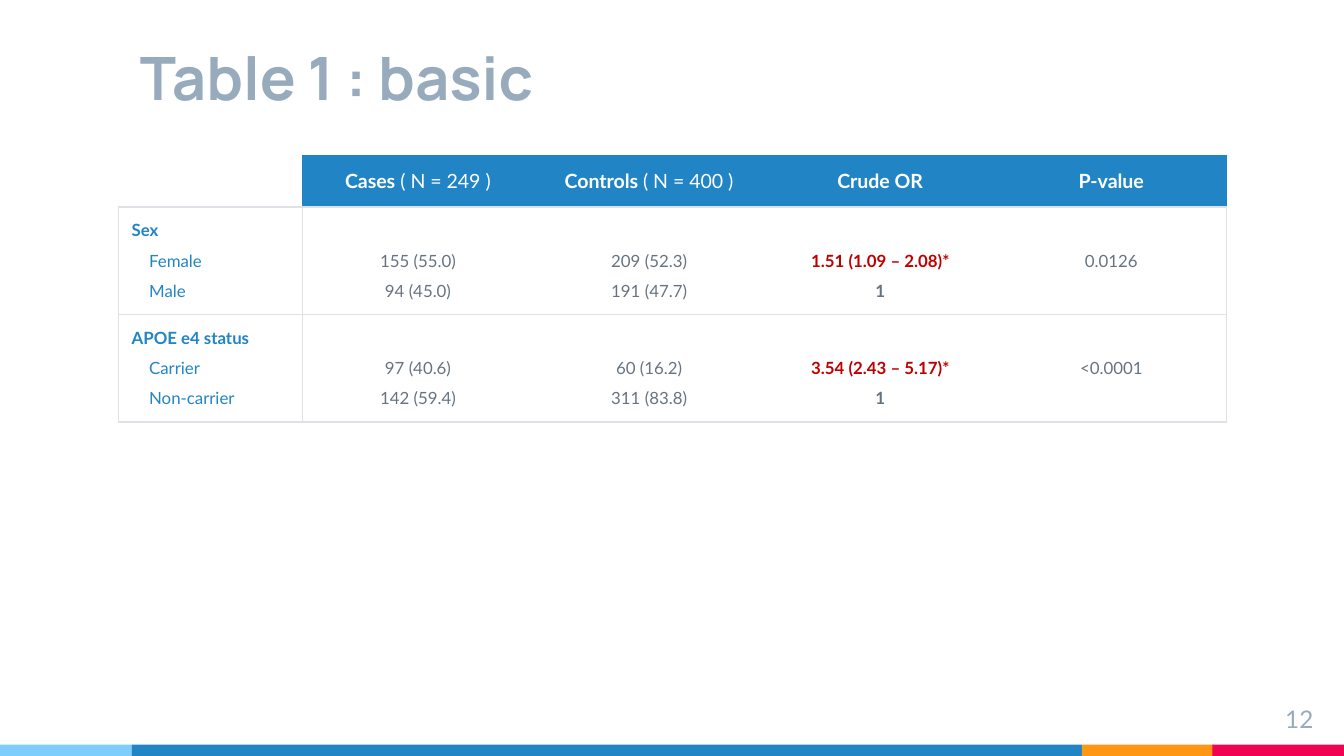
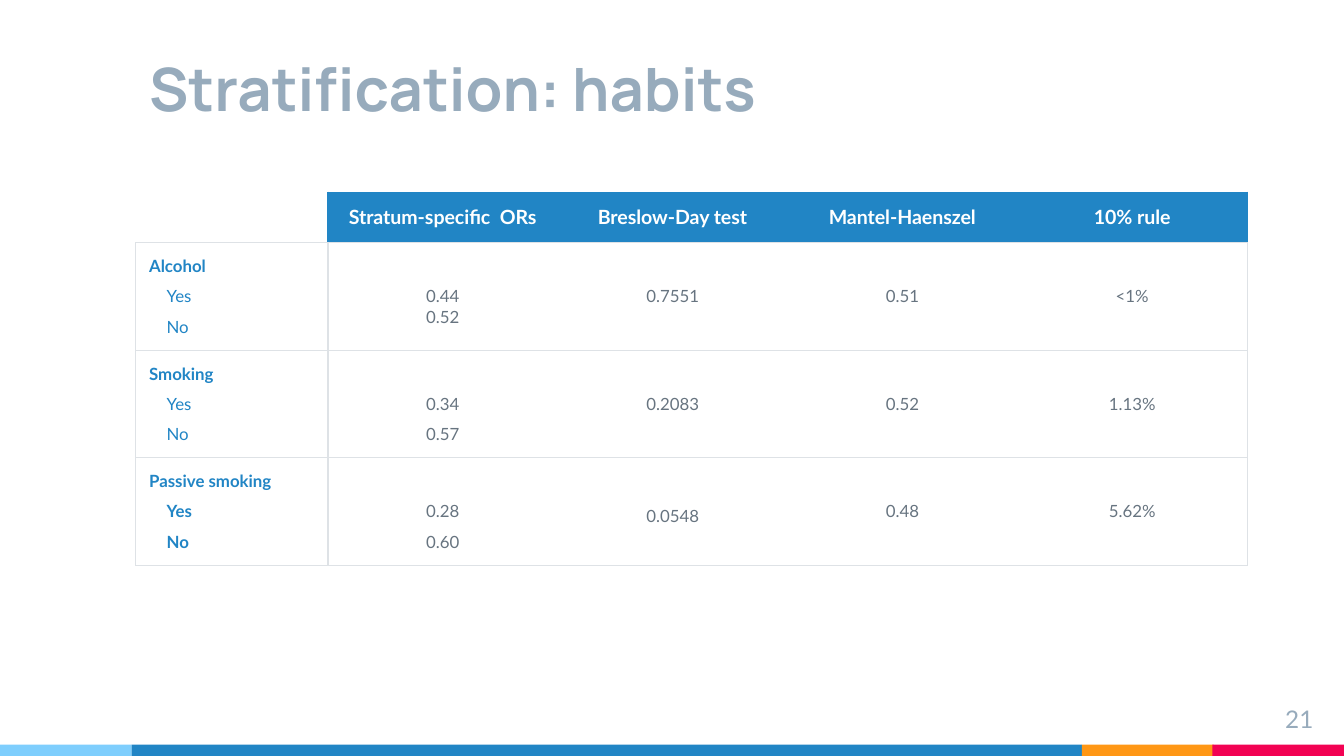
"""Build two slides with tables of odds ratios."""
from lxml import etree
from pptx import Presentation, util as u
from pptx.dml.color import RGBColor
from pptx.enum import shapes, text
from pptx.oxml import ns

BLUE = RGBColor(0x21, 0x85, 0xC5)
SKY = RGBColor(0x7E, 0xCE, 0xFD)
AMBER = RGBColor(0xFF, 0x97, 0x15)
PINK = RGBColor(0xF2, 0x02, 0x53)
STEEL = RGBColor(0x97, 0xAB, 0xBC)
SLATE = RGBColor(0x67, 0x74, 0x80)
RED = RGBColor(0xC0, 0x00, 0x00)
PALE = RGBColor(0xDE, 0xE2, 0xE6)
WHITE = RGBColor(0xFF, 0xFF, 0xFF)
PLAIN = "{2D5ABB26-0587-4C30-8999-92F81FD0307C}"
BANDS = [(0, 0.98, SKY), (0.98, 7.07, BLUE), (8.05, 0.98, AMBER), (9.02, 0.98, PINK)]

SLIDES = [
    {"title": "Table 1 : basic", "spot": (0.94, 0), "page": "12",
     "grid": (0.88, 1.16), "cols": (1.37, 1.72), "head": 0.38,
     "rows": [
         ["", "Cases| ( N = 249 )", "Controls |( N = 400 )", "Crude OR", "P-value"],
         ["Sex\nFemale\nMale", "155 (55.0)\n94 (45.0)", "209 (52.3)\n191 (47.7)",
          "1.51 (1.09 – 2.08)*\n1", "0.0126"],
         ["APOE e4 status\nCarrier\nNon-carrier", "97 (40.6)\n142 (59.4)",
          "60 (16.2)\n311 (83.8)", "3.54 (2.43 – 5.17)*\n1", "<0.0001"]]},
    {"title": "Stratification: habits", "spot": (1.01, 0.08), "page": "21",
     "grid": (1.01, 1.43), "cols": (1.43, 1.71), "head": 0.37,
     "rows": [
         ["", "Stratum-specific  ORs", "Breslow-Day test", "Mantel-Haenszel", "10% rule"],
         ["Alcohol\nYes\nNo", "0.44\n0.52", "0.7551", "0.51", "<1%"],
         ["Smoking\nYes\nNo", "0.34\n0.57", "0.2083", "0.52", "1.13%"],
         ["Passive smoking\nYes\nNo", "0.28\n0.60", "0.0548", "0.48", "5.62%"]]},
]


def style(para, size, color, bold=False, face="Lato"):
    for run in para.runs:
        run.font.size = u.Pt(size)
        run.font.name = face
        run.font.bold = bold
        run.font.color.rgb = color


def edge(cell, sides):
    props = cell._tc.get_or_add_tcPr()
    for spot, (side, color) in enumerate(sides.items()):
        line = etree.Element(ns.qn("a:ln" + side), w=str(u.Pt(0.75)))
        if color is None:
            etree.SubElement(line, ns.qn("a:noFill"))
        else:
            fill = etree.SubElement(line, ns.qn("a:solidFill"))
            etree.SubElement(fill, ns.qn("a:srgbClr"), val=str(color))
        props.insert(spot, line)


deck = Presentation()
deck.slide_width = u.Inches(10)
deck.slide_height = u.Inches(10 * 9 / 16)

for data in SLIDES:
    slide = deck.slides.add_slide(deck.slide_layouts[5])
    for left, width, color in BANDS:
        band = slide.shapes.add_shape(
            shapes.MSO_SHAPE.RECTANGLE, u.Inches(left), u.Inches(5.54),
            u.Inches(width), deck.slide_height - u.Inches(5.54))
        band.shadow.inherit = False
        band.fill.solid()
        band.fill.fore_color.rgb = color
        band.line.fill.background()

    title = slide.shapes.title
    title.left, title.top = [u.Inches(n) for n in data["spot"]]
    title.width, title.height = u.Inches(7.07), u.Inches(0.94)
    page = slide.shapes.add_textbox(
        u.Inches(9.27), u.Inches(5.14), u.Inches(0.6), u.Inches(0.34))
    for box, words in [(title, data["title"]), (page, data["page"])]:
        frame = box.text_frame
        frame.text = words
        frame.word_wrap = True
        frame.auto_size = text.MSO_AUTO_SIZE.NONE
        frame.margin_left = frame.margin_right = u.Inches(0.1)
        frame.margin_top = frame.margin_bottom = u.Inches(0.1)
    title.text_frame.vertical_anchor = text.MSO_ANCHOR.BOTTOM
    head = title.text_frame.paragraphs[0]
    head.alignment = text.PP_ALIGN.LEFT
    style(head, 32, STEEL, True, "Manrope")
    head.runs[0]._r.get_or_add_rPr().set("kern", "0")
    foot = page.text_frame.paragraphs[0]
    foot.alignment = text.PP_ALIGN.RIGHT
    style(foot, 13, STEEL)

    rows = data["rows"]
    first, rest = data["cols"]
    left, top = data["grid"]
    shape = slide.shapes.add_table(
        len(rows), 5, u.Inches(left), u.Inches(top),
        u.Inches(first + 4 * rest), u.Inches(data["head"] + 0.8 * (len(rows) - 1)))
    table = shape.table
    table.first_row = table.horz_banding = False
    table._tbl.tblPr.find(ns.qn("a:tableStyleId")).text = PLAIN
    for c, col in enumerate(table.columns):
        col.width = u.Inches(rest if c else first)

    for r, row in enumerate(rows):
        table.rows[r].height = u.Inches(0.8 if r else data["head"])
        for c, words in enumerate(row):
            cell = table.cell(r, c)
            pad = u.Inches(0.1 if words else 0)
            cell.margin_left = cell.margin_right = pad
            cell.margin_top = cell.margin_bottom = pad
            cell.vertical_anchor = text.MSO_ANCHOR.MIDDLE
            if r == 0 and c:
                cell.fill.solid()
                cell.fill.fore_color.rgb = BLUE
            else:
                cell.fill.background()

            tint = PALE if r else BLUE
            edge(cell, {"L": tint if c == 1 or (r and c == 0) else None,
                        "R": tint if c in (0, 4) else None,
                        "T": tint if r or c else None,
                        "B": PALE})

            if not words:
                continue
            if r == 0:
                para = cell.text_frame.paragraphs[0]
                para.alignment = text.PP_ALIGN.CENTER
                for n, part in enumerate(words.split("|")):
                    run = para.add_run()
                    run.text = part
                style(para, 10.5, WHITE, True)
                if n:
                    run.font.bold = False
                continue

            cell.text_frame.text = words
            paras = cell.text_frame.paragraphs
            tight = row[0].startswith("Alcohol")
            if c and len(paras) == 2:
                if tight:
                    cell.margin_top = u.Inches(0.25)
                else:
                    cell.vertical_anchor = text.MSO_ANCHOR.BOTTOM
            for n, para in enumerate(paras):
                if c == 0:
                    if n:
                        para.line_spacing = 1.5
                        para._p.get_or_add_pPr().set("marL", str(u.Inches(0.13)))
                    style(para, 9, BLUE, n == 0 or words.startswith("Passive"))
                else:
                    para.alignment = text.PP_ALIGN.CENTER
                    if (len(paras) == 2 and not tight) or para.text == "0.0548":
                        para.line_spacing = 1.5
                    color = RED if para.text.endswith("*") else SLATE
                    style(para, 9, color, rows[0][c] == "Crude OR")

deck.save("out.pptx")
